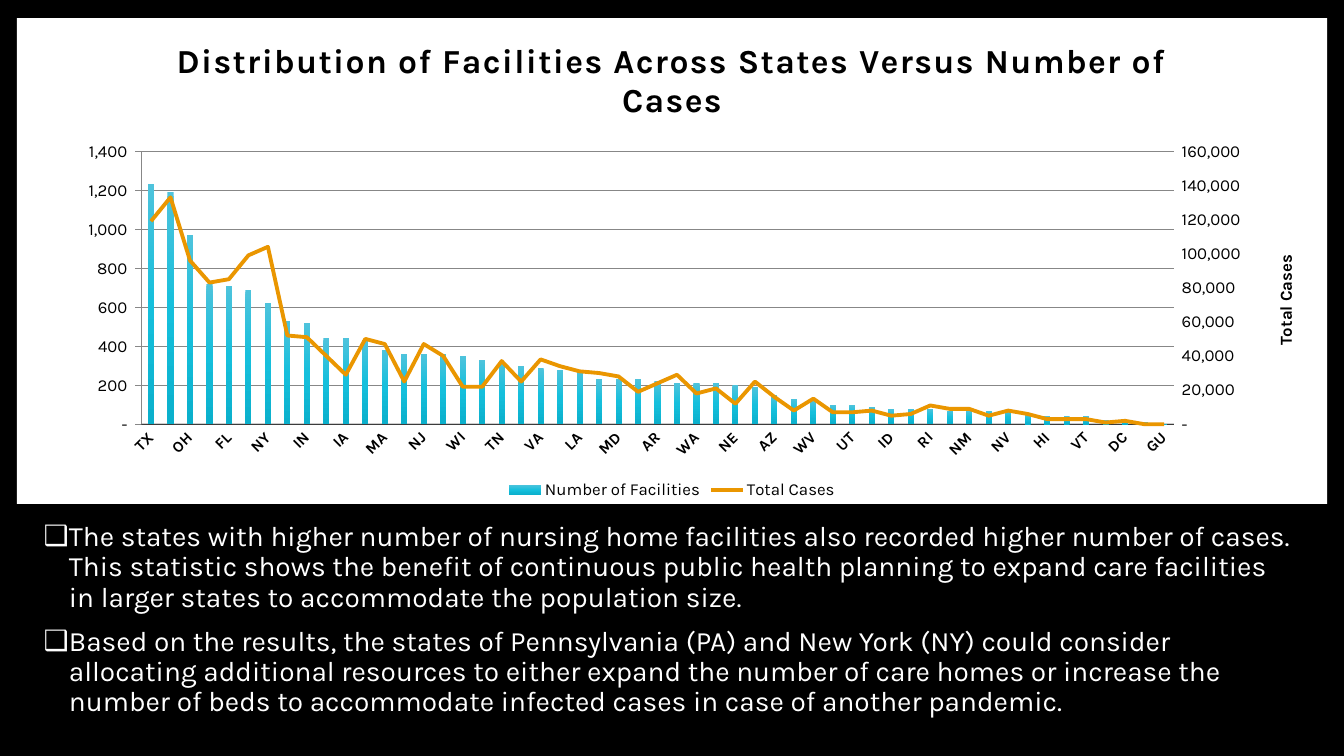
from copy import deepcopy
from dataclasses import dataclass

from pptx import Presentation
from pptx.chart import axis as ax
from pptx.chart.data import CategoryChartData
from pptx.dml.color import RGBColor
from pptx.enum import chart as ch, text as tx
from pptx.oxml import parse_xml
from pptx.oxml.ns import nsdecls, qn
from pptx.util import Pt


@dataclass(frozen=True)
class Theme:
    font: str = "Karla"
    backdrop: str = "000000"
    panel: str = "FFFFFF"
    ink: str = "000000"
    body_ink: str = "FFFFFF"
    cases: str = "EA9600"
    facilities: tuple = ((0, "4EC3DC"), (50, "15BFDC"), (100, "0BB0CC"))
    title_size: int = 24
    body_size: int = 20
    label_size: int = 12
    state_size: int = 11


THEME = Theme()
COUNT_FORMAT = r'_(* #,##0_);_(* \(#,##0\);_(* "-"_);_(@_)'
STATES = (
    "TX CA OH IL FL PA NY MO IN MI IA NC MA MN NJ GA WI KS TN OK VA KY LA AL MD CO AR "
    "CT WA MS NE SC AZ OR WV SD UT ME ID ND RI NH NM MT NV DE HI WY VT AK DC PR GU"
).split()
FACILITIES = [
    1230, 1190, 970, 720, 710, 690, 620, 530, 520, 440, 440, 430, 380, 360, 360, 360, 350, 330,
    320, 300, 290, 280, 280, 230, 230, 230, 220, 210, 210, 210, 200, 190, 150, 130, 120, 100,
    100, 90, 80, 80, 80, 70, 70, 70, 70, 50, 40, 40, 40, 20, 20, 10, 0,
]
CASES_IN_THOUSANDS = [
    119, 133, 96, 83, 85, 99, 104, 52, 51, 40, 29, 50, 47, 25, 47, 40, 22, 22, 37, 25, 38, 34,
    31, 30, 28, 19, 24, 29, 18, 21, 12, 25, 16, 8, 15, 7, 7, 8, 5, 6, 11, 9, 9, 5, 8, 6, 3, 3,
    3, 1, 2, 0, 0,
]
FINDINGS = [
    "The states with higher number of nursing home facilities also recorded higher number of "
    "cases. This statistic shows the benefit of continuous public health planning to expand "
    "care facilities in larger states to accommodate the population size.",
    "Based on the results, the states of Pennsylvania (PA) and New York (NY) could consider "
    "allocating additional resources to either expand the number of care homes or increase the "
    "number of beds to accommodate infected cases in case of another pandemic.",
]


def set_all(target, values):
    for name, value in values.items():
        setattr(target, name, value)


def style_font(font, size, color, bold=False):
    set_all(font, {"name": THEME.font, "size": Pt(size), "bold": bold})
    font.color.rgb = RGBColor.from_string(color)


def style_line(line, width, opacity):
    line.width = Pt(width)
    line.color.rgb = RGBColor.from_string(THEME.ink)
    color = line.fill._xPr.xpath(".//a:srgbClr")[0]
    color.append(parse_xml(f'<a:alpha {nsdecls("a")} val="{opacity * 1000}"/>'))


def style_value_axis(axis, caption, top, step):
    set_all(axis, {
        "minimum_scale": 0, "maximum_scale": top, "major_unit": step,
        "major_tick_mark": ch.XL_TICK_MARK.NONE, "minor_tick_mark": ch.XL_TICK_MARK.NONE,
    })
    set_all(axis.tick_labels, {"number_format": COUNT_FORMAT, "number_format_is_linked": False})
    style_font(axis.tick_labels.font, THEME.label_size, THEME.ink)
    axis.format.line.fill.background()
    frame = axis.axis_title.text_frame
    frame.text = caption
    style_font(frame.paragraphs[0].runs[0].font, THEME.label_size, THEME.ink, bold=True)
    axis.axis_title.element.xpath(".//a:bodyPr")[0].set("rot", "-5400000")


def style_state_axis(axis, element):
    set_all(axis, {"major_tick_mark": ch.XL_TICK_MARK.NONE,
                   "minor_tick_mark": ch.XL_TICK_MARK.NONE})
    style_font(axis.tick_labels.font, THEME.state_size, THEME.ink, bold=True)
    element.xpath("./c:txPr/a:bodyPr")[0].set("rot", "-2700000")
    style_line(axis.format.line, 1, 54)


def move_cases_to_right_axis(plot_area):
    """Turn the second series into a line with its own axes; return the right axis."""
    bars = plot_area.xpath("./c:barChart")[0]
    cases = bars.xpath("./c:ser")[1]
    for flag in cases.xpath("./c:invertIfNegative"):
        cases.remove(flag)
    lines = parse_xml(
        f'<c:lineChart {nsdecls("c")}><c:grouping val="standard"/><c:varyColors val="0"/>'
        '<c:marker val="1"/><c:axId val="301"/><c:axId val="302"/></c:lineChart>')
    lines.insert(2, cases)
    bars.addnext(lines)

    left = plot_area.xpath("./c:valAx")[0]
    states = deepcopy(plot_area.xpath("./c:catAx")[0])
    right = deepcopy(left)
    left.addnext(right)
    right.addnext(states)
    for element, own, other in ((states, "301", "302"), (right, "302", "301")):
        element.find(qn("c:axId")).set("val", own)
        element.find(qn("c:crossAx")).set("val", other)
    states.find(qn("c:delete")).set("val", "1")
    right.find(qn("c:axPos")).set("val", "r")
    right.find(qn("c:crosses")).set("val", "max")
    right_axis = ax.ValueAxis(right)
    right_axis.has_major_gridlines = False
    return right_axis


def fill_with_gradient(series):
    stops = "".join(
        f'<a:gs pos="{share * 1000}"><a:srgbClr val="{color}"/></a:gs>'
        for share, color in THEME.facilities)
    gradient = parse_xml(
        f'<a:gradFill {nsdecls("a")} rotWithShape="1"><a:gsLst>{stops}</a:gsLst>'
        '<a:lin ang="5400000" scaled="0"/></a:gradFill>')
    series.format.fill.background()
    no_fill = series._element.xpath("./c:spPr/a:noFill")[0]
    no_fill.getparent().replace(no_fill, gradient)


def place_plot(plot_area, x, y, w, h):
    """Fix the inner plot box, in shares of the chart."""
    for layout in plot_area.xpath("./c:layout"):
        plot_area.remove(layout)
    sides = "".join(f'<c:{side} val="{share}"/>'
                    for side, share in zip("xywh", (x, y, w, h)))
    plot_area.insert(0, parse_xml(
        f'<c:layout {nsdecls("c")}><c:manualLayout><c:layoutTarget val="inner"/>'
        f'<c:xMode val="edge"/><c:yMode val="edge"/>{sides}</c:manualLayout></c:layout>'))


def add_state_chart(slide, left, top, width, height):
    data = CategoryChartData(number_format=COUNT_FORMAT)
    data.categories = STATES
    data.add_series("Number of Facilities", FACILITIES)
    data.add_series("Total Cases", [count * 1000 for count in CASES_IN_THOUSANDS])
    chart = slide.shapes.add_chart(
        ch.XL_CHART_TYPE.COLUMN_CLUSTERED, Pt(left), Pt(top), Pt(width), Pt(height), data).chart
    plot_area = chart.element.xpath(".//c:plotArea")[0]
    chart.element.xpath("./c:chart")[0].addnext(parse_xml(
        f'<c:spPr {nsdecls("c", "a")}><a:solidFill><a:srgbClr val="{THEME.panel}"/>'
        '</a:solidFill><a:ln><a:noFill/></a:ln></c:spPr>'))
    style_font(chart.font, THEME.label_size, THEME.ink)

    title = chart.chart_title.text_frame
    title.text = "Distribution of Facilities Across States Versus Number of Cases"
    heading = title.paragraphs[0].runs[0].font
    style_font(heading, THEME.title_size, THEME.ink, bold=True)
    heading._element.set("spc", "100")

    right_axis = move_cases_to_right_axis(plot_area)
    style_value_axis(chart.value_axis, "Facility count", 1400, 200)
    style_value_axis(right_axis, "Total Cases", 160000, 20000)
    style_line(chart.value_axis.major_gridlines.format.line, 0.75, 10)
    style_state_axis(chart.category_axis, plot_area.xpath("./c:catAx")[0])
    place_plot(plot_area, 0.095, 0.274, 0.788, 0.562)

    bars, lines = chart.plots
    set_all(bars, {"gap_width": 219, "vary_by_categories": False})
    fill_with_gradient(bars.series[0])
    cases = lines.series[0]
    cases.smooth = False
    cases.marker.style = ch.XL_MARKER_STYLE.NONE
    cases.format.line.width = Pt(2.75)
    cases.format.line.color.rgb = RGBColor.from_string(THEME.cases)

    chart.has_legend = True
    set_all(chart.legend, {"position": ch.XL_LEGEND_POSITION.BOTTOM, "include_in_layout": False})
    style_font(chart.legend.font, THEME.label_size, THEME.ink)


def write_findings(body, left, top, width, height):
    set_all(body, {"left": Pt(left), "top": Pt(top), "width": Pt(width), "height": Pt(height)})
    frame = body.text_frame
    set_all(frame, {"word_wrap": True, "auto_size": tx.MSO_AUTO_SIZE.NONE,
                    "vertical_anchor": tx.MSO_ANCHOR.TOP})
    frame.text = "\n".join(FINDINGS)
    for finding in frame.paragraphs:
        set_all(finding, {"line_spacing": 0.9, "space_before": Pt(10),
                          "alignment": tx.PP_ALIGN.LEFT})
        style_font(finding.runs[0].font, THEME.body_size, THEME.body_ink)
        props = finding._p.get_or_add_pPr()
        props.set("marL", str(Pt(18)))
        props.set("indent", str(Pt(-18)))
        props.append(parse_xml(f'<a:buChar {nsdecls("a")} char="❑"/>'))


def main():
    deck = Presentation()
    set_all(deck, {"slide_width": Pt(960), "slide_height": Pt(540)})
    slide = deck.slides.add_slide(deck.slide_layouts[1])
    slide.background.fill.solid()
    slide.background.fill.fore_color.rgb = RGBColor.from_string(THEME.backdrop)
    heading, body = slide.placeholders
    heading.element.getparent().remove(heading.element)
    write_findings(body, 24, 369.5, 906.5, 158.5)
    add_state_chart(slide, 12, 13, 936, 347)
    deck.save("out.pptx")


if __name__ == "__main__":
    main()
